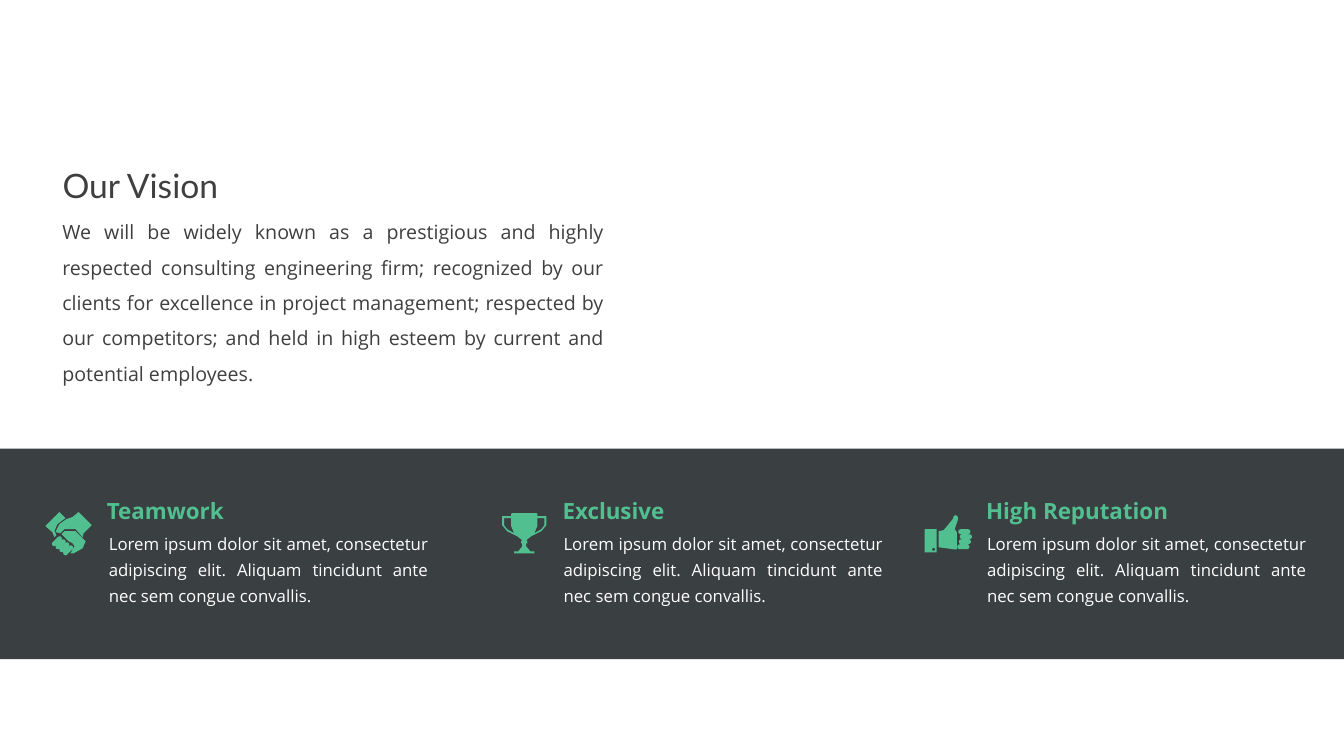
"""Build the vision slide with a band of three company values."""
from math import cos, pi, sin

from lxml.etree import SubElement
from pptx import Presentation
from pptx.dml.color import RGBColor
from pptx.enum.shapes import MSO_SHAPE
from pptx.enum.text import MSO_ANCHOR, MSO_AUTO_SIZE, PP_ALIGN
from pptx.oxml.ns import qn
from pptx.util import Inches, Pt

THEME = {
    "band": RGBColor.from_string("181E20"),
    "accent": RGBColor.from_string("52BF90"),
    "ink": RGBColor.from_string("3F3F3F"),
    "light": RGBColor.from_string("FFFFFF"),
    "title_size": Pt(24),
    "vision_size": Pt(14),
    "heading_size": Pt(16),
    "body_size": Pt(12),
}

GROW = MSO_AUTO_SIZE.SHAPE_TO_FIT_TEXT
STYLES = {
    "title": {
        "font": {"name": "Lato", "size": THEME["title_size"], "bold": False},
        "color": THEME["ink"],
        "paragraph": {"alignment": PP_ALIGN.LEFT},
        "frame": {"vertical_anchor": MSO_ANCHOR.TOP, "auto_size": GROW},
        "margins": (0.1, 0.05),
    },
    "vision": {
        "font": {"name": "Open Sans", "size": THEME["vision_size"]},
        "color": THEME["ink"],
        "paragraph": {"alignment": PP_ALIGN.JUSTIFY, "line_spacing": 1.5},
        "frame": {"vertical_anchor": MSO_ANCHOR.TOP},
        "margins": (0.1, 0.05),
    },
    "heading": {
        "font": {"name": "Open Sans", "size": THEME["heading_size"], "bold": True},
        "color": THEME["accent"],
        "paragraph": {"alignment": PP_ALIGN.LEFT},
        "frame": {"vertical_anchor": MSO_ANCHOR.MIDDLE, "auto_size": GROW},
        "margins": (0.13, 0),
    },
    "body": {
        "font": {"name": "Open Sans", "size": THEME["body_size"]},
        "color": THEME["light"],
        "paragraph": {"alignment": PP_ALIGN.JUSTIFY, "line_spacing": 1.3},
        "frame": {"vertical_anchor": MSO_ANCHOR.MIDDLE, "auto_size": GROW},
        "margins": (0.13, 0.07),
    },
}


def write(box, text, style):
    """Put text in a box and apply one of the styles."""
    frame = box.text_frame
    frame.word_wrap = True
    frame.text = text
    paragraph = frame.paragraphs[0]
    font = paragraph.runs[0].font
    side, edge = style["margins"]
    frame.margin_left = frame.margin_right = Inches(side)
    frame.margin_top = frame.margin_bottom = Inches(edge)
    for target, part in ((frame, "frame"), (paragraph, "paragraph"), (font, "font")):
        for attribute, value in style[part].items():
            setattr(target, attribute, value)
    font.color.rgb = style["color"]


def capsule(center_x, center_y, length, thickness, tilt=0, steps=8):
    """Return the outline of a bar with round ends, turned by tilt radians."""
    radius = thickness / 2
    reach = length / 2 - radius
    outline = []
    for end, start_angle in ((1, -pi / 2), (-1, pi / 2)):
        for step in range(steps + 1):
            angle = start_angle + pi * step / steps
            x = end * reach + radius * cos(angle)
            y = radius * sin(angle)
            outline.append((center_x + x * cos(tilt) - y * sin(tilt),
                            center_y + x * sin(tilt) + y * cos(tilt)))
    return outline


# Icon outlines are in hundredths of an inch from the icon's top left corner.
left_arm = [(0, 14), (14, 0), (20, 6), (12, 12), (9, 19), (11, 23), (9, 25), (7, 20)]
right_arm = [(33, 0), (46, 13), (38, 21), (37, 25), (30, 17), (19, 17), (15, 21),
             (10, 20), (14, 12), (21, 7), (27, 5)]
far_hand = [(19, 19), (30, 19), (40, 29), (37, 36), (28, 41), (25, 41), (29, 34),
            (27, 31), (23, 29), (16, 22)]
clasped_fingers = [capsule(11.5 + 3.7 * finger, 29 + 3 * finger, 12, 4.5, -pi / 4)
                   for finger in range(4)]
handshake = [left_arm, right_arm, far_hand, *clasped_fingers]

TROPHY_WIDTH = 44
right_profile = [(34, 0), (35, 1), (35, 3), (44, 3), (44, 12), (39, 18), (29, 23),
                 (24, 27), (25, 28), (25, 30), (24, 30), (24, 33), (28, 38),
                 (32, 38), (32, 40)]
right_handle_hole = [(42, 12), (39, 16), (32, 20), (35, 13), (35, 5), (42, 5)]
left_profile, left_handle_hole = [
    [(TROPHY_WIDTH - x, y) for x, y in reversed(half)]
    for half in (right_profile, right_handle_hole)]
trophy = [right_profile + left_profile, right_handle_hole, left_handle_hole]

cuff = [(0, 15), (12, 15), (12, 38), (0, 38)]
cuff_button = capsule(9, 35, 3, 3)
thumb = [(14, 17), (19, 16), (28, 5), (29, 2), (31, 1), (33, 3), (33, 6), (30, 15),
         (32, 18), (32, 35), (29, 35), (14, 33)]
folded_fingers = [capsule(center_x, 17.5 + 5 * finger, 12, 4.8)
                  for finger, center_x in enumerate((39.5, 41, 40, 38.5))]
thumb_up = [cuff, cuff_button, thumb, *folded_fingers]

BLURB = ("Lorem ipsum dolor sit amet, consectetur adipiscing elit. "
         "Aliquam tincidunt ante nec sem congue convallis.")
VALUES = [
    {"name": "Teamwork", "heading_left": 0.93, "body_left": 0.95,
     "icon": handshake, "icon_left": 0.45, "icon_top": 5.08},
    {"name": "Exclusive", "heading_left": 5.45, "body_left": 5.46,
     "icon": trophy, "icon_left": 4.98, "icon_top": 5.09},
    {"name": "High Reputation", "heading_left": 9.65, "body_left": 9.66,
     "icon": thumb_up, "icon_left": 9.17, "icon_top": 5.1},
]

deck = Presentation()
deck.slide_width, deck.slide_height = Inches(13.33), Inches(7.5)
slide = deck.slides.add_slide(deck.slide_layouts[5])
shapes = slide.shapes

title = shapes.title
title_place = {"left": 0.52, "top": 1.59, "width": 4.33, "height": 0.5}
for attribute, length in title_place.items():
    setattr(title, attribute, Inches(length))
write(title, "Our Vision", STYLES["title"])

vision = shapes.add_textbox(Inches(0.52), Inches(2.02), Inches(5.57), Inches(1.66))
write(vision,
      "We will be widely known as a prestigious and highly respected consulting "
      "engineering firm; recognized by our clients for excellence in project "
      "management; respected by our competitors; and held in high esteem by "
      "current and potential employees.",
      STYLES["vision"])

band = shapes.add_shape(MSO_SHAPE.RECTANGLE, 0, Inches(4.45), deck.slide_width, Inches(2.09))
painted = [(band, THEME["band"])]

for value in VALUES:
    heading = shapes.add_textbox(Inches(value["heading_left"]), Inches(4.93),
                                 Inches(2.67), Inches(0.27))
    write(heading, value["name"], STYLES["heading"])
    body = shapes.add_textbox(Inches(value["body_left"]), Inches(5.16),
                              Inches(3.43), Inches(0.92))
    write(body, BLURB, STYLES["body"])

    outlines = [[(Inches(value["icon_left"] + x / 100), Inches(value["icon_top"] + y / 100))
                 for x, y in outline] for outline in value["icon"]]
    pen = shapes.build_freeform(*outlines[0][0])
    for outline in outlines:
        pen.move_to(*outline[0])
        pen.add_line_segments(outline[1:], close=True)
    painted.append((pen.convert_to_shape(), THEME["accent"]))

for shape, color in painted:
    shape.shadow.inherit = False
    shape.fill.solid()
    shape.fill.fore_color.rgb = color
    shape.line.fill.background()

band_color = next(band.element.iter(qn("a:srgbClr")))
SubElement(band_color, qn("a:alpha"), val="85000")

deck.save("out.pptx")
